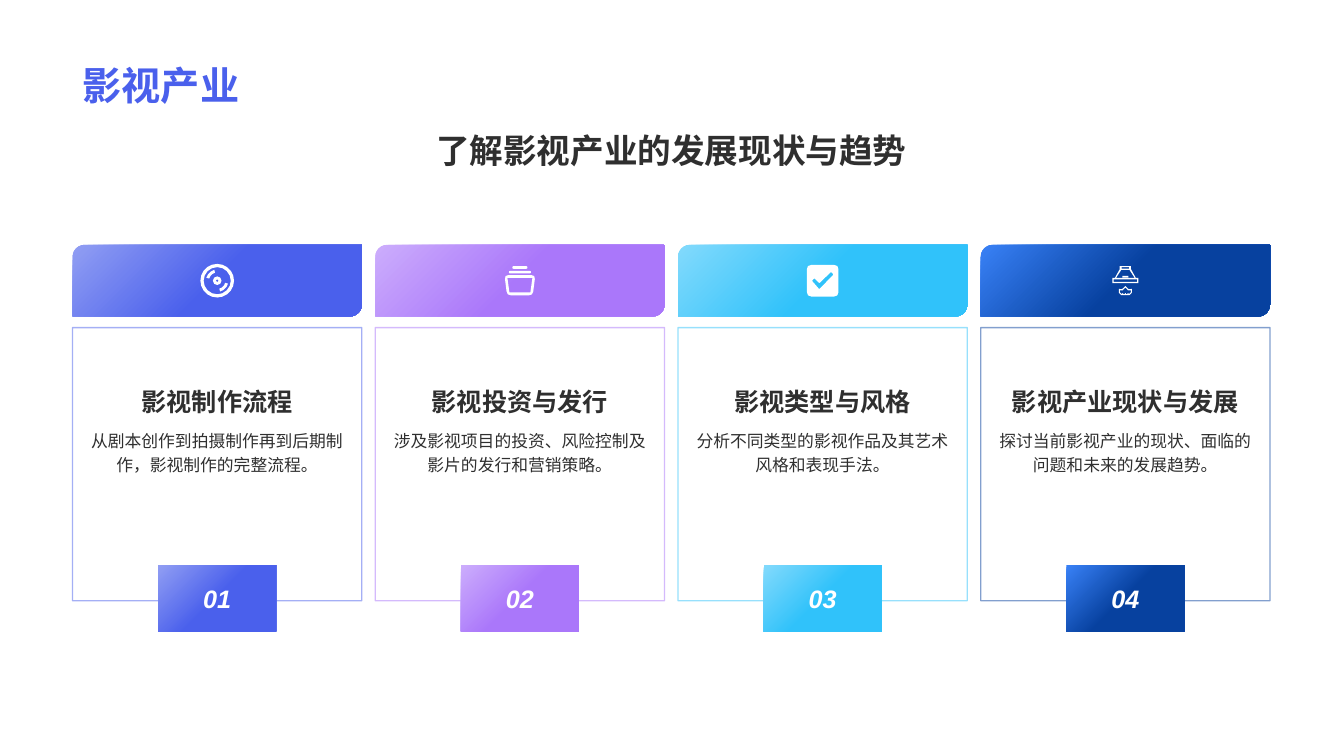
"""Builds the film industry slide with four numbered topic cards."""
from dataclasses import dataclass
from math import cos, radians, sin

from pptx import Presentation
from pptx.dml.color import RGBColor
from pptx.enum.shapes import MSO_SHAPE as Preset
from pptx.enum.text import MSO_ANCHOR as Anchor, MSO_AUTO_SIZE as AutoSize, PP_ALIGN as Align
from pptx.oxml.ns import qn
from pptx.util import Pt
from lxml.etree import SubElement

FONT = "Arial"
INK = RGBColor(0x2F, 0x2F, 0x2F)
WHITE = RGBColor(0xFF, 0xFF, 0xFF)
INDIGO = RGBColor(0x4A, 0x60, 0xEC)
INDIGO_LIGHT = RGBColor(0x91, 0x9E, 0xF3)
PURPLE = RGBColor(0xAA, 0x77, 0xFA)
PURPLE_LIGHT = RGBColor(0xCC, 0xAD, 0xFC)
SKY = RGBColor(0x30, 0xC2, 0xFA)
SKY_LIGHT = RGBColor(0x83, 0xDA, 0xFC)
NAVY = RGBColor(0x07, 0x41, 0x9F)
NAVY_LIGHT = RGBColor(0x39, 0x81, 0xF6)

LEFT, CARD_W, PITCH = 51.84, 206.64, 216.24
ICON_Y = 200.5

Point = tuple[float, float]
Contour = list[Point]


@dataclass
class Card:
    title: str
    body: str
    color: RGBColor
    light: RGBColor
    icon: list[Contour]


def arc(r: float, start: float, end: float, steps: int) -> Contour:
    angles = [radians(start + (end - start) * i / steps) for i in range(steps + 1)]
    return [(r * cos(a), r * sin(a)) for a in angles]


def circle(r: float, steps: int) -> Contour:
    return arc(r, 0, 360, steps)[:-1]


def band(start: float, end: float) -> Contour:
    return arc(8, start, end, 3) + arc(5.9, end, start, 3)


def rounded(corners: Contour, r: float) -> Contour:
    if not r:
        return corners
    points = []
    for i, (x, y) in enumerate(corners):
        ends = []
        for nx, ny in (corners[i - 1], corners[(i + 1) % len(corners)]):
            t = r / ((nx - x) ** 2 + (ny - y) ** 2) ** 0.5
            ends.append((x + (nx - x) * t, y + (ny - y) * t))
        (ax, ay), (bx, by) = ends
        points += [(ax, ay), ((ax + 2 * x + bx) / 4, (ay + 2 * y + by) / 4), (bx, by)]
    return points


def mirrored(right: Contour, r: float = 0) -> Contour:
    return rounded(right + [(-x, y) for x, y in reversed(right) if x], r)


def box(half_w: float, top: float, bottom: float, r: float = 0) -> Contour:
    return mirrored([(half_w, top), (half_w, bottom)], r)


DISC = [circle(12, 20), circle(9.7, 16), band(15, 75), band(195, 255), circle(3.1, 8), circle(1, 4)]
BASKET = [
    mirrored([(11, -4), (9.2, 10.5)], 2.8),
    mirrored([(8.9, -1.9), (7.5, 8.4)]),
    box(7.9, -7, -5.2, 0.85),
    box(5.4, -10.4, -8.5, 0.9),
]
CHECK = [
    box(11.3, -11.3, 11.3, 3.2),
    rounded([(-7.7, 0), (-5.9, -1.8), (-2.4, 1.8), (6, -6.3), (7.8, -4.5), (-2.4, 6.1)], 0.7),
]
LAMP = [
    mirrored([(4, -10.4), (4, -8.2), (7.5, -1.9), (9.3, -1.9), (9.3, 1.8)]),
    box(8.4, -0.9, 0.9),
    box(2.7, -9.6, -8.6),
    mirrored([(3, -7.6), (6.7, -1.9)]),
    box(2.2, -3.4, -2.4),
    mirrored([(0, 3.9), (2.4, 6.1), (4.7, 5.9), (4.7, 8.5), (3, 10.4)]),
    mirrored([(0, 4.9), (2, 7), (3.9, 6.9), (3.9, 8.4), (2.6, 9.7),
              (1.9, 8.8), (1.2, 9.7), (0.7, 9.7), (0, 8.8)]),
]

CARDS = [
    Card("影视制作流程", "从剧本创作到拍摄制作再到后期制作，影视制作的完整流程。",
         INDIGO, INDIGO_LIGHT, DISC),
    Card("影视投资与发行", "涉及影视项目的投资、风险控制及影片的发行和营销策略。",
         PURPLE, PURPLE_LIGHT, BASKET),
    Card("影视类型与风格", "分析不同类型的影视作品及其艺术风格和表现手法。",
         SKY, SKY_LIGHT, CHECK),
    Card("影视产业现状与发展", "探讨当前影视产业的现状、面临的问题和未来的发展趋势。",
         NAVY, NAVY_LIGHT, LAMP),
]


def write(sp, text: str, size: float, color: RGBColor, bold: bool = True, italic: bool = False,
          align: Align = Align.CENTER, anchor: Anchor = Anchor.TOP, spacing: float = 1.0) -> None:
    tf = sp.text_frame
    tf.text = text
    tf.word_wrap = True
    tf.auto_size = AutoSize.NONE
    tf.vertical_anchor = anchor
    p = tf.paragraphs[0]
    p.alignment = align
    p.line_spacing = spacing
    font = p.runs[0].font
    font.name, font.size, font.bold, font.italic = FONT, Pt(size), bold, italic
    font.color.rgb = color


def add_gradient(slide, preset: Preset, x: float, y: float, w: float, h: float, card: Card):
    sp = slide.shapes.add_shape(preset, Pt(x), Pt(y), Pt(w), Pt(h))
    sp.shadow.inherit = False
    sp.line.fill.background()
    sp.fill.gradient()
    sp.fill.gradient_angle = 315
    stops = zip(sp.fill.gradient_stops, (card.light, card.color), (0, 0.5))
    for stop, color, position in stops:
        stop.color.rgb = color
        stop.position = position
    return sp


def add_frame(slide, x: float, color: RGBColor) -> None:
    sp = slide.shapes.add_shape(Preset.RECTANGLE, Pt(x), Pt(234), Pt(CARD_W), Pt(195.12))
    sp.shadow.inherit = False
    sp.fill.background()
    sp.line.width = Pt(1)
    sp.line.color.rgb = color
    line_color = sp._element.spPr.find(".//" + qn("a:ln")).find(".//" + qn("a:srgbClr"))
    SubElement(line_color, qn("a:alpha"), val="50000")


def add_label(slide, x: float, y: float, h: float, text: str, size: float, **style) -> None:
    sp = slide.shapes.add_shape(Preset.ROUNDED_RECTANGLE, Pt(x), Pt(y), Pt(196.6), Pt(h))
    sp.adjustments[0] = 0
    sp.shadow.inherit = False
    sp.fill.background()
    sp.line.fill.background()
    sp._element.spPr.find(qn("a:xfrm")).set("flipH", "1")
    write(sp, text, size, INK, **style)


def add_icon(slide, cx: float, cy: float, contours: list[Contour]) -> None:
    builder = None
    for contour in contours:
        points = [(Pt(cx + x), Pt(cy + y)) for x, y in contour]
        if builder is None:
            builder = slide.shapes.build_freeform(*points[0], scale=1.0)
        else:
            builder.move_to(*points[0])
        builder.add_line_segments(points[1:], close=True)
    sp = builder.convert_to_shape()
    sp.shadow.inherit = False
    sp.fill.solid()
    sp.fill.fore_color.rgb = WHITE
    sp.line.fill.background()


def add_card(slide, index: int, card: Card) -> None:
    x = LEFT + index * PITCH
    center = x + CARD_W / 2
    add_gradient(slide, Preset.ROUND_2_DIAG_RECTANGLE, x, 174.9, CARD_W, 51.1, card)
    add_frame(slide, x, card.color)
    badge = add_gradient(slide, Preset.RECTANGLE, center - 42.2, 403.9, 84.4, 47, card)
    write(badge, f"{index + 1:02}", 18, WHITE, italic=True, anchor=Anchor.MIDDLE)
    add_label(slide, x + 5, 301, 94.3, card.body, 12, bold=False, spacing=1.2)
    add_label(slide, x + 5, 250.6, 50.4, card.title, 18, anchor=Anchor.BOTTOM)
    add_icon(slide, center, ICON_Y, card.icon)


def main() -> None:
    prs = Presentation()
    prs.slide_width, prs.slide_height = Pt(960), Pt(540)
    slide = prs.slides.add_slide(prs.slide_layouts[5])
    title = slide.shapes.title
    title.left, title.top, title.width, title.height = Pt(LEFT), Pt(10.4), Pt(855.36), Pt(70.6)
    write(title, "影视产业", 28, INDIGO, align=Align.LEFT, anchor=Anchor.BOTTOM)
    subtitle = slide.shapes.add_textbox(Pt(LEFT), Pt(89.3), Pt(855.36), Pt(54.7))
    write(subtitle, "了解影视产业的发展现状与趋势", 24, INK)
    for index, card in enumerate(CARDS):
        add_card(slide, index, card)
    prs.save("out.pptx")


if __name__ == "__main__":
    main()
